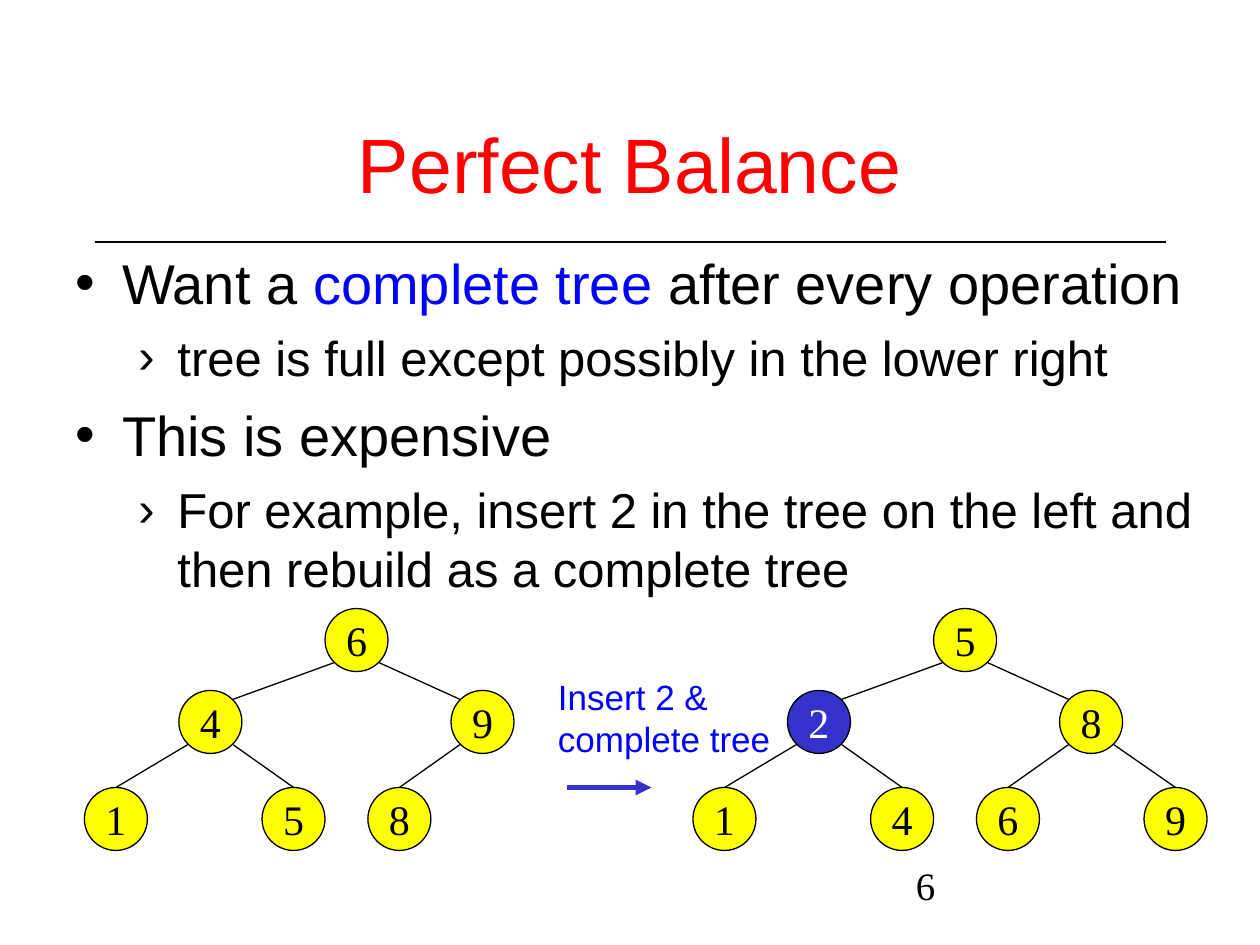
from lxml import etree
from pptx import Presentation
from pptx.dml.color import RGBColor
from pptx.enum.shapes import MSO_CONNECTOR, MSO_SHAPE
from pptx.enum.text import MSO_ANCHOR, MSO_AUTO_SIZE, PP_ALIGN
from pptx.oxml.ns import qn
from pptx.util import Inches, Pt

STRAIGHT = MSO_CONNECTOR.STRAIGHT
OVAL = MSO_SHAPE.OVAL
MIDDLE = MSO_ANCHOR.MIDDLE
CENTER = PP_ALIGN.CENTER
NO_AUTOFIT = MSO_AUTO_SIZE.NONE
FIT_SHAPE = MSO_AUTO_SIZE.SHAPE_TO_FIT_TEXT

BLACK = RGBColor(0x00, 0x00, 0x00)
WHITE = RGBColor(0xFF, 0xFF, 0xFF)
RED = RGBColor(0xFF, 0x00, 0x00)
BLUE = RGBColor(0x00, 0x00, 0xFF)
INDIGO = RGBColor(0x33, 0x33, 0xCC)
YELLOW = RGBColor(0xFF, 0xFF, 0x00)

prs = Presentation()
prs.slide_width, prs.slide_height = Inches(10), Inches(7.5)
slide = prs.slides.add_slide(prs.slide_layouts[5])
shapes = slide.shapes


def add_run(paragraph, text, size, color, name="Arial"):
    run = paragraph.add_run()
    run.text = text
    run.font.size = Pt(size)
    run.font.color.rgb = color
    run.font.name = name


def add_line(x1, y1, x2, y2, color=BLACK, width=0.75):
    line = shapes.add_connector(STRAIGHT, Inches(x1), Inches(y1), Inches(x2), Inches(y2))
    line.line.color.rgb = color
    line.line.width = Pt(width)
    etree.SubElement(line._element.spPr, qn("a:effectLst"))
    return line


# Title and the rule under it
title = shapes.title
title.left, title.top, title.width, title.height = map(Inches, (0.75, 0.67, 8.5, 1.25))
title.text_frame.auto_size = NO_AUTOFIT
title.text_frame.vertical_anchor = MIDDLE
heading = title.text_frame.paragraphs[0]
heading.alignment = CENTER
add_run(heading, "Perfect Balance", 44, RED)
add_line(0.75, 1.92, 9.25, 1.92)

# Slide number
number_box = shapes.add_textbox(Inches(7.17), Inches(6.83), Inches(2.08), Inches(0.5))
number_box.text_frame.word_wrap = True
number = number_box.text_frame.paragraphs[0]
number.line_spacing = 0.9
add_run(number, "6", 22.2, BLACK, "Times New Roman")

# Bullets: two levels
LEVELS = [
    {"left": 0.37, "hanging": 0.37, "bullet": "•", "size": 32, "before": 8},
    {"left": 0.81, "hanging": 0.31, "bullet": "›", "size": 28, "before": 7},
]
POINTS = [
    (0, [("Want a ", BLACK), ("complete tree", BLUE), (" after every operation", BLACK)]),
    (1, [("tree is full except possibly in the lower right", BLACK)]),
    (0, [("This is expensive", BLACK)]),
    (1, [("For example, insert 2 in the tree on the left and then rebuild as a complete tree",
          BLACK)]),
]
body = shapes.add_textbox(Inches(0.5), Inches(1.92), Inches(9.25), Inches(3)).text_frame
body.word_wrap = True
for i, (level, pieces) in enumerate(POINTS):
    style = LEVELS[level]
    point = body.add_paragraph() if i else body.paragraphs[0]
    point.level = level
    point.space_before = Pt(style["before"] if i else 0)
    props = point._p.get_or_add_pPr()
    props.set("marL", str(Inches(style["left"])))
    props.set("indent", str(-Inches(style["hanging"])))
    etree.SubElement(props, qn("a:buFont"), typeface="Arial")
    etree.SubElement(props, qn("a:buChar"), char=style["bullet"])
    for text, color in pieces:
        add_run(point, text, style["size"], color)

# Caption and arrow between the trees
caption = shapes.add_textbox(Inches(4.33), Inches(5.31), Inches(1.95), Inches(0.77)).text_frame
caption.word_wrap = False
caption.auto_size = FIT_SHAPE
add_run(caption.paragraphs[0], "Insert 2 &", 20, BLUE)
add_run(caption.add_paragraph(), "complete tree", 20, BLUE)
arrow = add_line(4.5, 6.25, 5.17, 6.25, INDIGO, 3)
etree.SubElement(arrow.line._get_or_add_ln(), qn("a:tailEnd"), type="triangle")

# Trees in level order: the children of node i are 2i + 1 and 2i + 2
NODE_SIZE = 0.5
RADIUS = NODE_SIZE / 2
DIAGONAL = 0.18  # from a node's centre to its outline at 45 degrees
SLOTS = [(2.58, 4.83), (1.42, 5.48), (3.58, 5.48),
         (0.67, 6.25), (2.08, 6.25), (2.92, 6.25), (4.25, 6.25)]
TREES = [(0, [6, 4, 9, 1, 5, 8]), (4.83, [5, 2, 8, 1, 4, 6, 9])]
INSERTED = 2

for offset, keys in TREES:
    centers = []
    for i, (key, (x, y)) in enumerate(zip(keys, SLOTS)):
        node = shapes.add_shape(OVAL, Inches(x + offset), Inches(y),
                                Inches(NODE_SIZE), Inches(NODE_SIZE))
        node.shadow.inherit = False
        node.fill.solid()
        node.fill.fore_color.rgb = INDIGO if key == INSERTED else YELLOW
        node.line.color.rgb = BLACK
        node.line.width = Pt(0.75)
        node.text_frame.word_wrap = False
        node.text_frame.vertical_anchor = MIDDLE
        label = node.text_frame.paragraphs[0]
        label.alignment = CENTER
        add_run(label, str(key), 24, WHITE if key == INSERTED else BLACK, "Times New Roman")
        center_x, center_y = x + offset + RADIUS, y + RADIUS
        centers.append((center_x, center_y))
        if i == 0:
            continue

        parent_x, parent_y = centers[(i - 1) // 2]
        side = -1 if i % 2 else 1  # odd places are left children
        start = parent_x + side * DIAGONAL, parent_y + DIAGONAL
        if i < 3:
            add_line(*start, center_x - side * DIAGONAL, center_y - DIAGONAL)
        else:
            add_line(*start, center_x, y).end_connect(node, 0)

prs.save("out.pptx")
